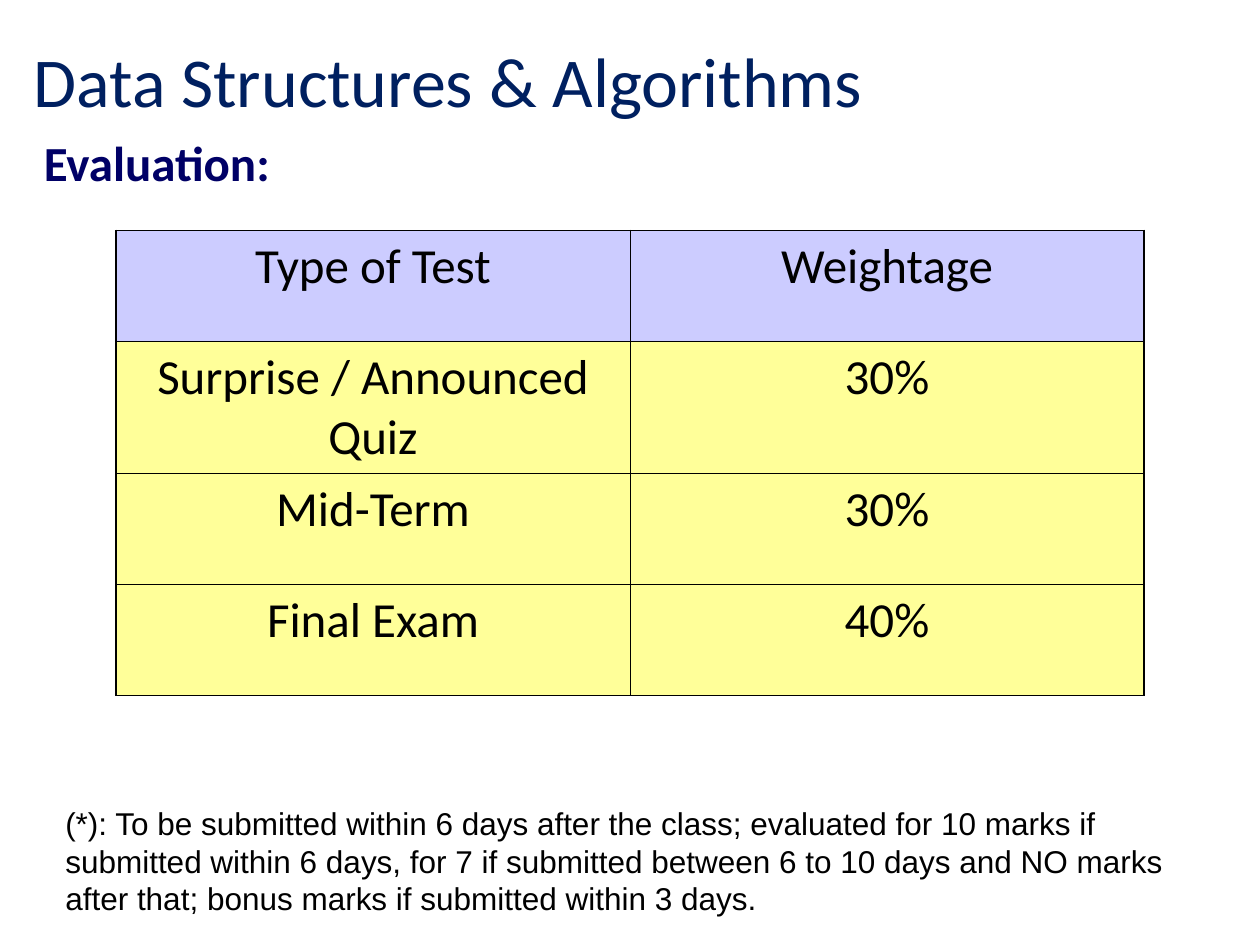
"""Build the course evaluation slide with its weightage table."""
from dataclasses import dataclass

import lxml.etree
import pptx
import pptx.dml.color
import pptx.enum.text
import pptx.oxml.ns
import pptx.util

Inches = pptx.util.Inches
Pt = pptx.util.Pt
RGBColor = pptx.dml.color.RGBColor
ANCHOR = pptx.enum.text.MSO_ANCHOR

BLACK = RGBColor(0x00, 0x00, 0x00)
TITLE_BLUE = RGBColor(0x00, 0x20, 0x60)
HEADING_NAVY = RGBColor(0x00, 0x00, 0x66)
HEADER_LILAC = RGBColor(0xCC, 0xCC, 0xFF)
BODY_YELLOW = RGBColor(0xFF, 0xFF, 0x99)

OUTER_BORDER = Pt(1.08)
INNER_BORDER = Pt(0.45)
ROWS = [
    ("Type of Test", "Weightage"),
    ("Surprise / Announced Quiz", "30%"),
    ("Mid-Term", "30%"),
    ("Final Exam", "40%"),
]
ROW_HEIGHTS = [0.88, 1.05, 0.88, 0.88]
COLUMN_WIDTH = 4.08


@dataclass(frozen=True)
class TextStyle:
    size: float
    font: str
    color: RGBColor
    bold: bool = False
    space_before: float = 0


@dataclass(frozen=True)
class TextBlock:
    text: str
    left: float
    top: float
    width: float
    height: float
    style: TextStyle
    anchor: ANCHOR = ANCHOR.TOP


CELL_STYLE = TextStyle(28, "Calibri", BLACK, space_before=7)
TEXT_BLOCKS = [
    TextBlock("Data Structures & Algorithms", 0.17, 0.17, 9.58, 0.92,
              TextStyle(40, "Calibri", TITLE_BLUE), ANCHOR.MIDDLE),
    TextBlock("Evaluation:", 0.25, 1, 9.33, 0.67,
              TextStyle(28, "Calibri", HEADING_NAVY, True, 7)),
    TextBlock("(*): To be submitted within 6 days after the class; evaluated for 10 marks if "
              "submitted within 6 days, for 7 if submitted between 6 to 10 days and NO marks "
              "after that; bonus marks if submitted within 3 days.",
              0.42, 6.33, 9.17, 1, TextStyle(18, "Arial", BLACK, space_before=11.2)),
]


def style_paragraph(paragraph, style: TextStyle) -> None:
    font = paragraph.font
    font.size = Pt(style.size)
    font.name = style.font
    font.bold = style.bold
    font.color.rgb = style.color
    paragraph.space_before = Pt(style.space_before)


def add_text_block(slide, block: TextBlock) -> None:
    shape = slide.shapes.add_textbox(
        Inches(block.left), Inches(block.top), Inches(block.width), Inches(block.height))
    text_frame = shape.text_frame
    text_frame.word_wrap = True
    text_frame.vertical_anchor = block.anchor
    text_frame.text = block.text
    style_paragraph(text_frame.paragraphs[0], block.style)


def set_borders(cell, widths: dict[str, int]) -> None:
    qualified = pptx.oxml.ns.qn
    properties = cell._tc.get_or_add_tcPr()
    for position, (side, width) in enumerate(widths.items()):
        line = lxml.etree.Element(qualified(f"a:ln{side}"), w=str(int(width)))
        fill = lxml.etree.SubElement(line, qualified("a:solidFill"))
        lxml.etree.SubElement(fill, qualified("a:srgbClr"), val=str(BLACK))
        properties.insert(position, line)


def add_weightage_table(slide) -> None:
    last_row, last_column = len(ROWS) - 1, len(ROWS[0]) - 1
    table = slide.shapes.add_table(
        len(ROWS), len(ROWS[0]), Inches(0.92), Inches(1.83),
        Inches(COLUMN_WIDTH * len(ROWS[0])), Inches(sum(ROW_HEIGHTS))).table
    for row, height in zip(table.rows, ROW_HEIGHTS):
        row.height = Inches(height)
    for column in table.columns:
        column.width = Inches(COLUMN_WIDTH)
    for row_index, texts in enumerate(ROWS):
        for column_index, text in enumerate(texts):
            cell = table.cell(row_index, column_index)
            cell.text = text
            cell.fill.solid()
            cell.fill.fore_color.rgb = BODY_YELLOW if row_index else HEADER_LILAC
            paragraph = cell.text_frame.paragraphs[0]
            paragraph.alignment = pptx.enum.text.PP_ALIGN.CENTER
            style_paragraph(paragraph, CELL_STYLE)
            on_edge = {
                "L": column_index == 0,
                "R": column_index == last_column,
                "T": row_index == 0,
                "B": row_index == last_row,
            }
            set_borders(cell, {side: OUTER_BORDER if outer else INNER_BORDER
                               for side, outer in on_edge.items()})


def main() -> None:
    presentation = pptx.Presentation()
    presentation.slide_width = Inches(10)
    presentation.slide_height = Inches(7.5)
    slide = presentation.slides.add_slide(presentation.slide_layouts[6])
    for block in TEXT_BLOCKS:
        add_text_block(slide, block)
    add_weightage_table(slide)
    presentation.save("out.pptx")


if __name__ == "__main__":
    main()
